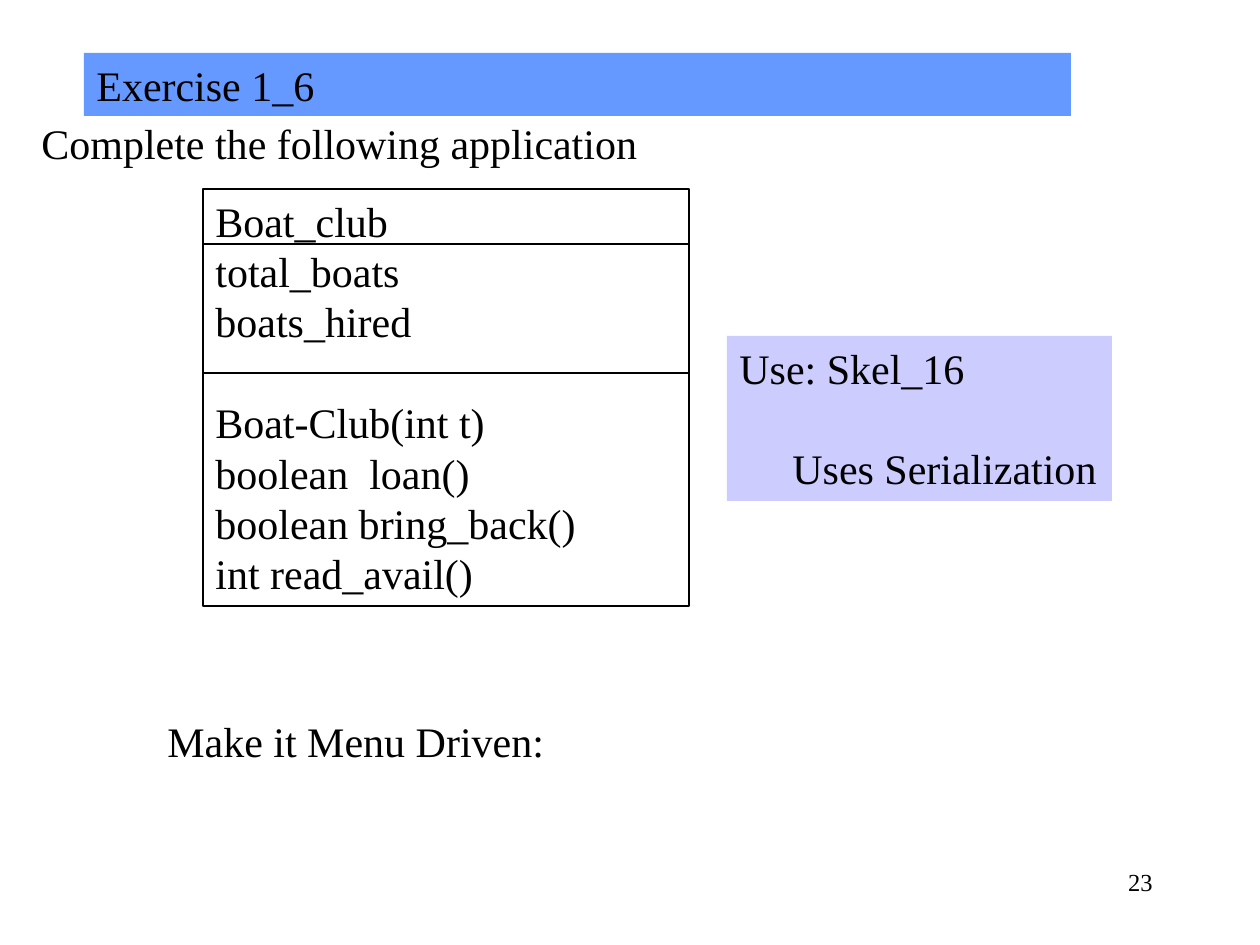
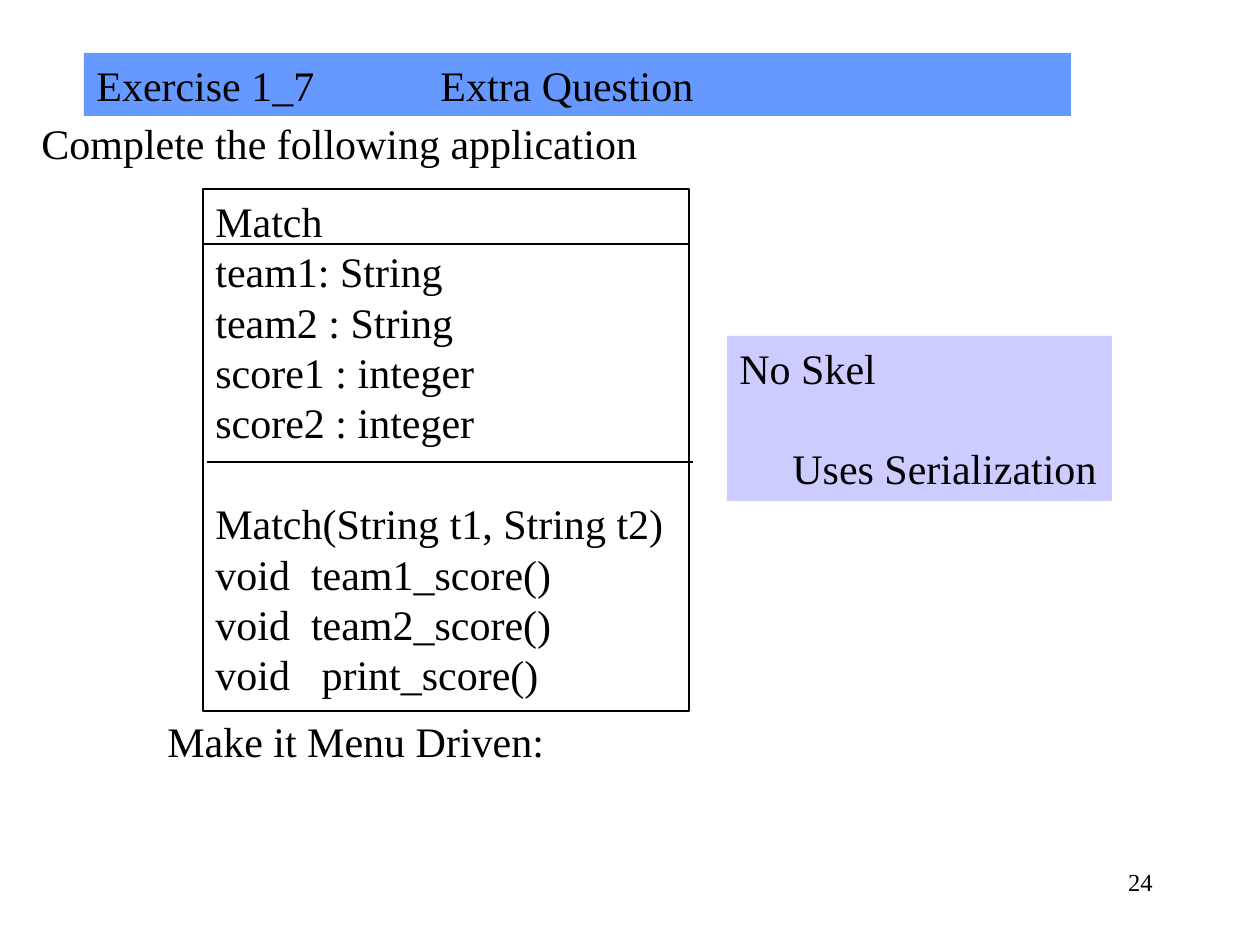
import pptx
import pptx.util
import pptx.dml.color
import pptx.enum.shapes
import pptx.enum.text
import lxml.etree

# Content
TASK = "Complete the following application"
HINT = "Make it Menu Driven:"
NOTE = "Uses Serialization"
SLIDES = [
    dict(title="Exercise 1_6", name="Boat_club",
         fields=["total_boats", "boats_hired"],
         methods=["Boat-Club(int t)", "boolean  loan()",
                  "boolean bring_back()", "int read_avail()"],
         tall=417, rule=(203, 373), skel="Use: Skel_16", page="23"),
    dict(title="Exercise 1_7\tExtra Question", name="Match",
         fields=["team1: String", "team2 : String",
                 "score1 : integer", "score2 : integer"],
         methods=["Match(String t1, String t2)", "void  team1_score()",
                  "void  team2_score()", "void   print_score()"],
         tall=522, rule=(207, 462), skel="No Skel", page="24"),
]

# Shared style, lengths in px
COLORS = dict(band="6699FF", note="CCCCFF", ink="000000")
FONT = "Times New Roman"
SIZE = 24
GAP = 28.8  # one empty line, in points
LEFT, TOP, WIDE = 203, 189, 486  # class box
HEAD = 244  # line below the class name
TAB, INDENT = 344, 53
ALIGN = pptx.enum.text.PP_ALIGN
NS = "http://schemas.openxmlformats.org/drawingml/2006/main"


def px(n):
    return pptx.util.Emu(round(n * 914400 / 126))


def color(key):
    return pptx.dml.color.RGBColor.from_string(COLORS[key])


def write(slide, text, box, fill=None, line=None, size=SIZE, align=ALIGN.LEFT,
          wrap=True, gap=None, indent=0, tab=None):
    """Add lines of text; line number gap gets an empty line above and indent."""
    place = [px(n) for n in box]
    if fill or line:
        kind = pptx.enum.shapes.MSO_SHAPE.RECTANGLE
        shape = slide.shapes.add_shape(kind, *place)
        shape.shadow.inherit = False
        if fill:
            shape.fill.solid()
            shape.fill.fore_color.rgb = color(fill)
        else:
            shape.fill.background()
        if line:
            shape.line.color.rgb = color(line)
            shape.line.width = pptx.util.Pt(0.75)
        else:
            shape.line.fill.background()
    else:
        shape = slide.shapes.add_textbox(*place)
    frame = shape.text_frame
    frame.word_wrap = wrap
    frame.vertical_anchor = pptx.enum.text.MSO_ANCHOR.TOP
    for i, words in enumerate([text] if isinstance(text, str) else text):
        para = frame.add_paragraph() if i else frame.paragraphs[0]
        para.text = words
        para.alignment = align
        props = para._p.get_or_add_pPr()
        if i == gap:
            para.space_before = pptx.util.Pt(GAP)
            if indent:
                props.set("marL", str(px(indent)))
                props.set("indent", "0")
        if tab:
            stops = lxml.etree.SubElement(props, f"{{{NS}}}tabLst")
            lxml.etree.SubElement(stops, f"{{{NS}}}tab", pos=str(px(tab)), algn="l")
        for run in para.runs:
            run.font.name = FONT
            run.font.size = pptx.util.Pt(size)
            run.font.color.rgb = color("ink")


def rule(slide, x, y):
    kind = pptx.enum.shapes.MSO_CONNECTOR.STRAIGHT
    line = slide.shapes.add_connector(kind, px(x), px(y), px(x + WIDE), px(y))
    line.line.color.rgb = color("ink")
    line.line.width = pptx.util.Pt(0.75)
    lxml.etree.SubElement(line._element.spPr, f"{{{NS}}}effectLst")


def build(deck, data):
    slide = deck.slides.add_slide(deck.slide_layouts[6])
    # Title band and task
    write(slide, data["title"], (84, 53, 987, 63), fill="band", tab=TAB)
    write(slide, TASK, (29, 111, 640, 64), wrap=False)
    # Class diagram
    top = [data["name"], *data["fields"]]
    write(slide, top + data["methods"], (LEFT, TOP, WIDE, data["tall"]),
          line="ink", gap=len(top))
    rule(slide, LEFT, HEAD)
    rule(slide, *data["rule"])
    # Hint, note and page number
    write(slide, HINT, (155, 709, 402, 63), wrap=False)
    write(slide, [data["skel"], NOTE], (727, 336, 385, 165), fill="note",
          wrap=False, gap=1, indent=INDENT)
    write(slide, data["page"], (903, 861, 262, 63), size=14, align=ALIGN.RIGHT)


def main():
    deck = pptx.Presentation()
    deck.slide_width, deck.slide_height = px(1260), px(945)
    for data in SLIDES:
        build(deck, data)
    deck.save("out.pptx")


if __name__ == "__main__":
    main()
